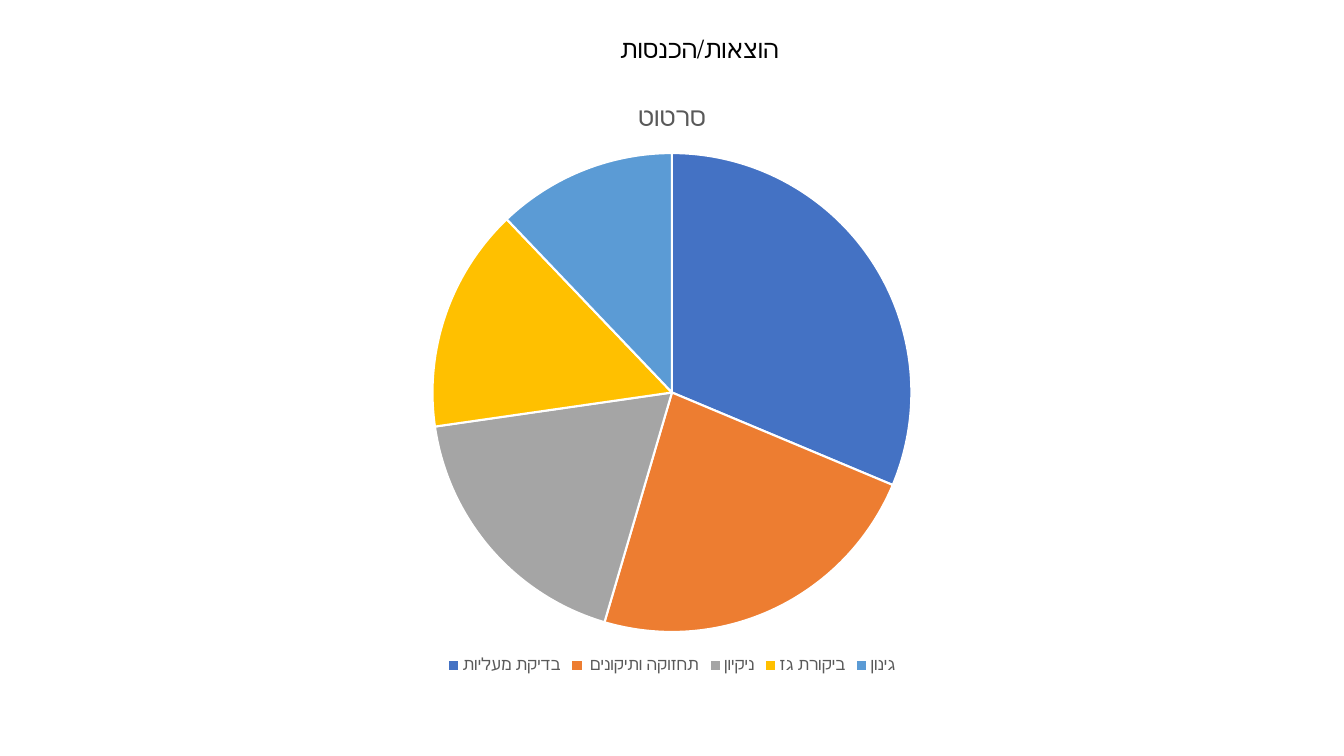
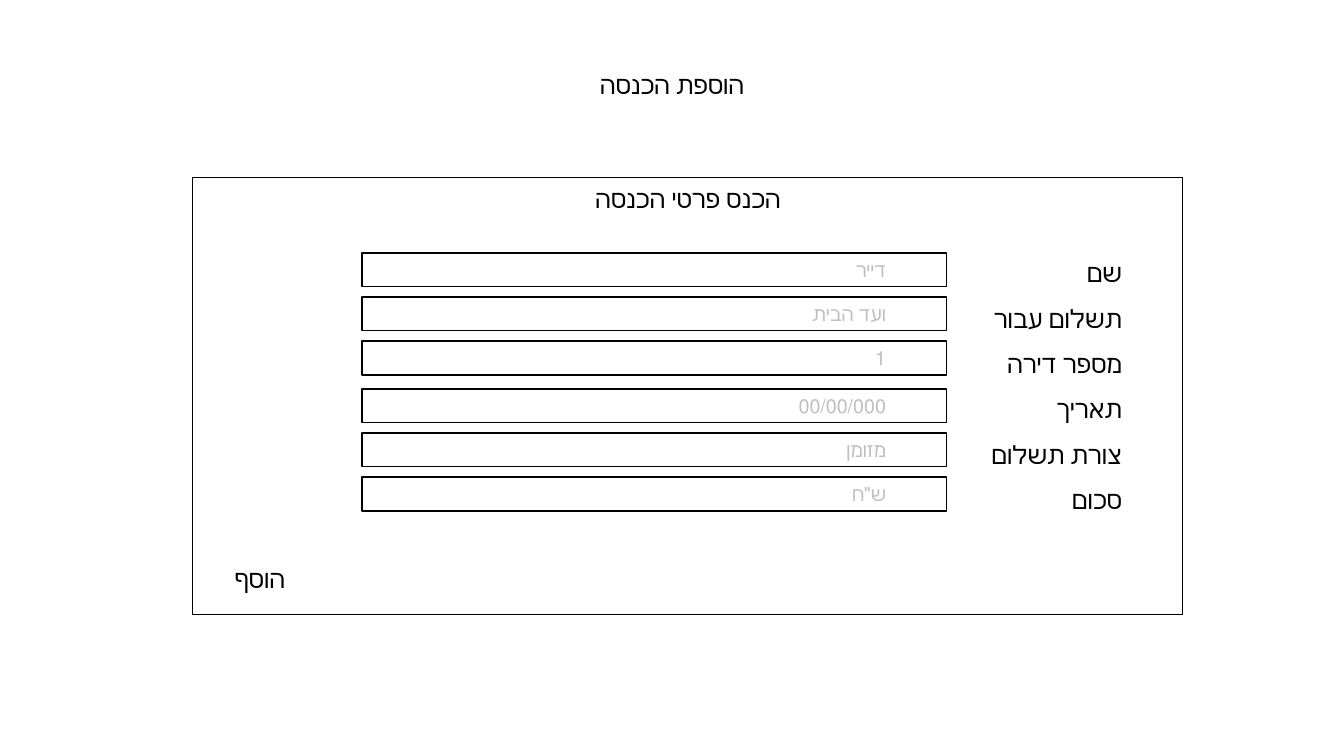
from dataclasses import dataclass

from pptx import Presentation
from pptx.chart.data import CategoryChartData
from pptx.dml.color import RGBColor
from pptx.enum.chart import XL_CHART_TYPE, XL_LEGEND_POSITION
from pptx.enum.shapes import MSO_SHAPE
from pptx.enum.text import MSO_ANCHOR, PP_ALIGN
from pptx.util import Pt

EMU_PER_PX = 914400 / 100.8


@dataclass(frozen=True)
class Theme:
    font: str = "Calibri"
    ink: str = "000000"
    paper: str = "FFFFFF"
    muted: str = "595959"
    hint: str = "BFBFBF"
    slices: tuple = ("4472C4", "ED7D31", "A5A5A5", "FFC000", "5B9BD5")
    body_size: float = 18
    hint_size: float = 14
    chart_title_size: float = 18.6
    legend_size: float = 12
    chart_size: float = 10
    outline: float = 0.75
    slice_border: float = 1.5


THEME = Theme()

EXPENSES = {
    "בדיקת מעליות": 31,
    " תחזוקה ותיקונים": 23,
    "ניקיון": 18,
    "ביקורת גז": 15,
    "גינון": 12,
}

INCOME_FIELDS = {
    "שם": "דייר",
    "תשלום עבור": "ועד הבית",
    "מספר דירה": "1",
    "תאריך": "00/00/000",
    "צורת תשלום": "מזומן",
    "סכום": 'ש"ח',
}


def px(length):
    return round(length * EMU_PER_PX)


def to_emu(box):
    return [px(length) for length in box]


def color(value):
    return RGBColor.from_string(value)


def style_font(font, size, fill):
    font.name = THEME.font
    font.size = Pt(size)
    font.bold = False
    font.color.rgb = color(fill)


def write_text(paragraph, text, *, size=THEME.body_size, fill=THEME.ink,
               align=PP_ALIGN.RIGHT, indent=0, line_spacing=None, space_before=0):
    """Fill a paragraph with one right-to-left run; indent is in px."""
    paragraph.alignment = align
    paragraph.space_before = Pt(space_before)
    if line_spacing:
        paragraph.line_spacing = line_spacing
    properties = paragraph._p.get_or_add_pPr()
    properties.set("rtl", "1")
    properties.set("marL", str(px(indent)))
    properties.set("indent", "0")
    run = paragraph.add_run()
    run.text = text
    style_font(run.font, size, fill)


def add_text(slide, box, text, **text_format):
    frame = slide.shapes.add_textbox(*to_emu(box)).text_frame
    frame.word_wrap = True
    write_text(frame.paragraphs[0], text, **text_format)


def add_outlined_box(slide, box):
    """Add an unfilled rectangle and return its text frame."""
    shape = slide.shapes.add_shape(MSO_SHAPE.RECTANGLE, *to_emu(box))
    shape.shadow.inherit = False
    shape.fill.background()
    shape.line.color.rgb = color(THEME.ink)
    shape.line.width = Pt(THEME.outline)
    frame = shape.text_frame
    frame.word_wrap = True
    frame.vertical_anchor = MSO_ANCHOR.TOP
    return frame


def add_titled_slide(presentation, title, title_box):
    slide = presentation.slides.add_slide(presentation.slide_layouts[6])
    add_text(slide, title_box, title, align=PP_ALIGN.CENTER)
    return slide


def add_pie(slide, box, title, values):
    data = CategoryChartData()
    data.categories = list(values)
    data.add_series(title, list(values.values()))
    chart = slide.shapes.add_chart(XL_CHART_TYPE.PIE, *to_emu(box), data).chart
    style_font(chart.font, THEME.chart_size, THEME.ink)

    chart.has_title = True
    write_text(chart.chart_title.text_frame.paragraphs[0], title,
               size=THEME.chart_title_size, fill=THEME.muted, align=PP_ALIGN.CENTER)
    chart.chart_title.include_in_layout = False

    chart.has_legend = True
    chart.legend.position = XL_LEGEND_POSITION.BOTTOM
    chart.legend.include_in_layout = False
    style_font(chart.legend.font, THEME.legend_size, THEME.muted)

    plot = chart.plots[0]
    plot.vary_by_categories = True
    for index, fill in enumerate(THEME.slices):
        slice_format = plot.series[0].points[index].format
        slice_format.fill.solid()
        slice_format.fill.fore_color.rgb = color(fill)
        slice_format.line.color.rgb = color(THEME.paper)
        slice_format.line.width = Pt(THEME.slice_border)


def add_form(slide, box, heading, fields, button):
    """Draw a panel with its labels, two groups of three inputs and a button."""
    left, top, _, height = box
    indent = 51
    panel = add_outlined_box(slide, box)
    write_text(panel.paragraphs[0], heading, align=PP_ALIGN.CENTER)
    for index, (label, hint) in enumerate(fields.items()):
        write_text(panel.add_paragraph(), label, indent=indent, line_spacing=1.5,
                   space_before=0 if index else 21)
        group, row = divmod(index, 3)
        input_box = (left + 169, top + 75 + 136 * group + 44 * row, 585, 34)
        field = add_outlined_box(slide, input_box)
        write_text(field.paragraphs[0], hint, size=THEME.hint_size,
                   fill=THEME.hint, indent=indent)
    add_text(slide, (left, top + height - 57, 102, 40), button)


def main():
    presentation = Presentation()
    presentation.slide_width = px(1344)
    presentation.slide_height = px(756)

    balance = add_titled_slide(presentation, "הוצאות/הכנסות", (291, 28, 817, 40))
    add_pie(balance, (224, 80, 896, 598), "סרטוט", EXPENSES)

    income = add_titled_slide(presentation, "הוספת הכנסה", (410, 64, 524, 40))
    add_form(income, (193, 178, 990, 437), "הכנס פרטי הכנסה", INCOME_FIELDS, "הוסף")

    presentation.save("out.pptx")


if __name__ == "__main__":
    main()
